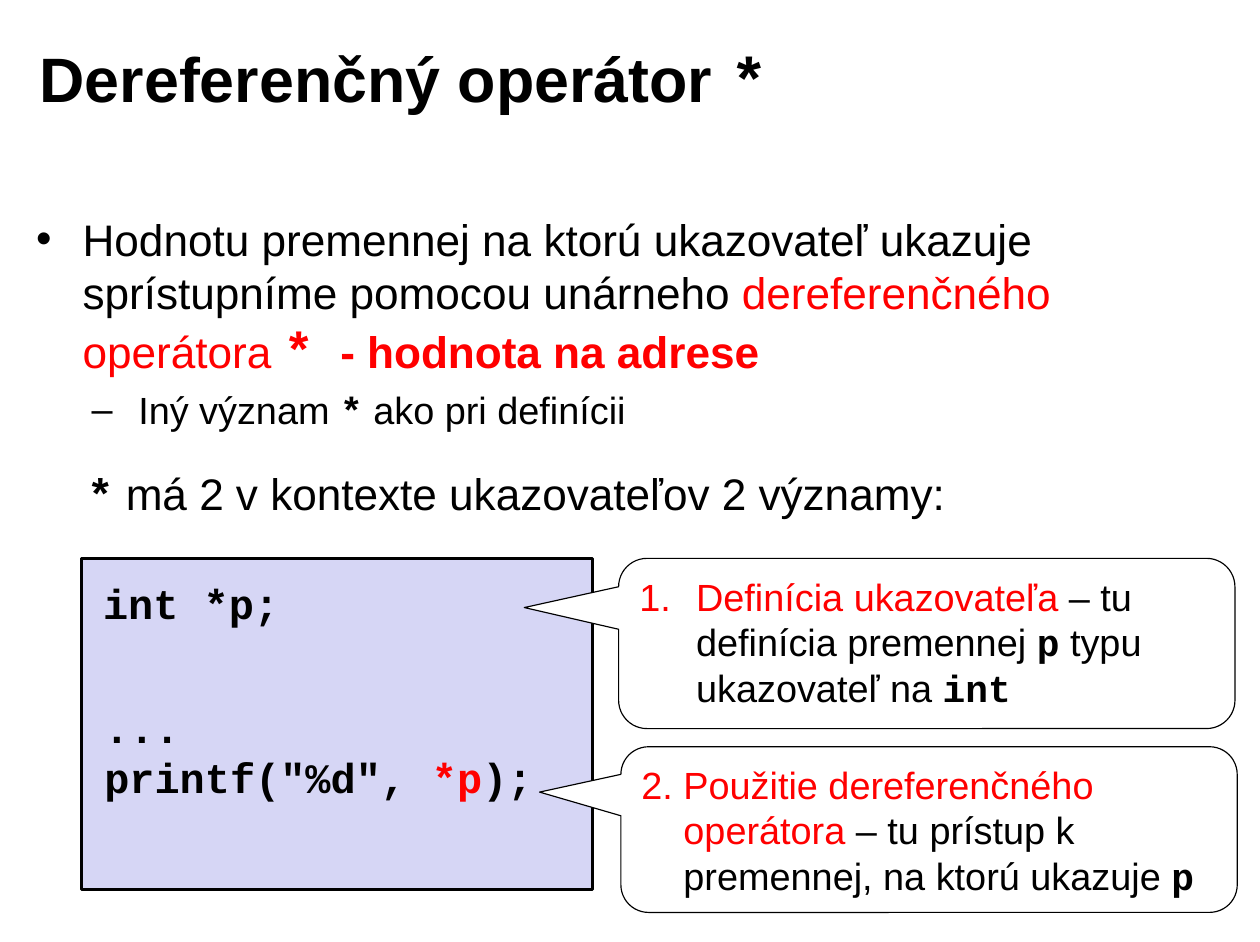
"""Build the slide on the dereference operator."""
from lxml import etree
from pptx import Presentation, util as u
from pptx.dml.color import RGBColor
from pptx.enum import shapes, text
from pptx.oxml.ns import qn

COLS, ROWS, CELL = 111, 83, u.Inches(0.1)
BLACK, RED, WHITE, LILAC = "000000", "FF0000", "FFFFFF", "D6D6F5"
SANS, MONO = "Arial", "Courier New"
CODE = dict(face=MONO, bold=True)
HOT = dict(color=RED)

TITLE = [dict(runs=[("Dereferenčný operátor ", dict(bold=True)), ("*", CODE)])]
BODY = [
    dict(bullet="•", hang=4.1, runs=[
        ("Hodnotu premennej na ktorú ukazovateľ ukazuje sprístupníme pomocou unárneho ", {}),
        ("dereferenčného operátora ", HOT),
        ("*", dict(CODE, color=RED, size=32)),
        (" ", dict(CODE, color=RED)),
        ("- hodnota na adrese", dict(color=RED, bold=True))]),
    dict(bullet="–", level=1, left=9, hang=4.1, before=5, size=24, runs=[
        ("Iný význam ", {}), ("*", CODE), (" ako pri definícii", {})]),
]
SENSE = [dict(runs=[("*", CODE), (" má 2 v kontexte ukazovateľov 2 významy:", {})])]
DECLARE = [dict(runs=[("int *p;", CODE)])]
PRINT = [
    dict(runs=[("...", CODE)]),
    dict(runs=[('printf("%d", ', CODE), ("*p", dict(CODE, color=RED)), (");", CODE)]),
]
NOTES = [
    dict(at=(54.5, 49.2, 54.3, 15), tip=(-0.653, -0.211), paras=[
        dict(bullet=1, hang=5, runs=[
            ("Definícia ukazovateľa", HOT), (" – tu definícia premennej ", {}),
            ("p", CODE), (" typu ukazovateľ na ", {}), ("int", CODE)])]),
    dict(at=(54.7, 65.8, 54.3, 14.6), tip=(-0.632, -0.226), paras=[
        dict(hang=3.7, runs=[
            ("2. Použitie dereferenčného operátora ", HOT),
            ("– tu prístup k premennej, na ktorú ukazuje ", {}), ("p", CODE)])]),
]
BOXES = [
    (TITLE, (2.5, 1.7, 89.1, 10.2), dict(size=39.8, anchor="MIDDLE")),
    (BODY, (2.2, 18.2, 106.6, 19), dict(size=28)),
    (SENSE, (6.2, 40.6, 78.5, 5.7), dict(size=28, align="CENTER", wrap=False)),
    (DECLARE, (8.1, 50.4, 24.4, 5.5), dict(size=26.6)),
    (PRINT, (8.2, 61.3, 44.8, 9.9), dict(size=26.6)),
]
PANEL = (7.2, 49.2, 45, 29.2)


def cells(box):
    return [round(n * CELL) for n in box]


def rgb(code):
    return RGBColor.from_string(code)


def mark(para, left, hang, bullet):
    props = para._p.get_or_add_pPr()
    props.set("marL", str(round(left * CELL)))
    props.set("indent", str(-round(hang * CELL)))
    if isinstance(bullet, int):
        tint = etree.SubElement(props, qn("a:buClr"))
        etree.SubElement(tint, qn("a:srgbClr"), val=RED)
        etree.SubElement(props, qn("a:buFont"), typeface=SANS)
        etree.SubElement(props, qn("a:buAutoNum"), type="arabicPeriod", startAt=str(bullet))
    elif bullet:
        etree.SubElement(props, qn("a:buFont"), typeface=SANS)
        etree.SubElement(props, qn("a:buChar"), char=bullet)


def write(frame, paras, size=24, align="LEFT", anchor="TOP", wrap=True, pad=(1, 0.5)):
    frame.word_wrap = wrap
    if not wrap:
        frame.auto_size = text.MSO_AUTO_SIZE.SHAPE_TO_FIT_TEXT
    frame.vertical_anchor = text.MSO_ANCHOR[anchor]
    frame.margin_left = frame.margin_right = round(pad[0] * CELL)
    frame.margin_top = frame.margin_bottom = round(pad[1] * CELL)
    for i, item in enumerate(paras):
        para = frame.add_paragraph() if i else frame.paragraphs[0]
        para.level = item.get("level", 0)
        para.alignment = text.PP_ALIGN[align]
        para.space_before = u.Pt(item.get("before", 0))
        hang = item.get("hang", 0)
        mark(para, item.get("left", hang), hang, item.get("bullet"))
        for words, look in item["runs"]:
            run = para.add_run()
            run.text = words
            font = run.font
            font.name = look.get("face", SANS)
            font.size = u.Pt(look.get("size", item.get("size", size)))
            font.bold = look.get("bold", False)
            font.color.rgb = rgb(look.get("color", BLACK))


def draw(slide, kind, box, fill, width):
    shape = slide.shapes.add_shape(shapes.MSO_SHAPE[kind], *cells(box))
    shape.shadow.inherit = False
    shape.fill.solid()
    shape.fill.fore_color.rgb = rgb(fill)
    shape.line.color.rgb = rgb(BLACK)
    shape.line.width = u.Pt(width)
    return shape


def main():
    deck = Presentation()
    deck.slide_width, deck.slide_height = COLS * CELL, ROWS * CELL
    slide = deck.slides.add_slide(deck.slide_layouts[6])
    draw(slide, "RECTANGLE", PANEL, LILAC, 2)
    for paras, box, look in BOXES:
        write(slide.shapes.add_textbox(*cells(box)).text_frame, paras, **look)
    for note in NOTES:
        shape = draw(slide, "ROUNDED_RECTANGULAR_CALLOUT", note["at"], WHITE, 0.75)
        for i, share in enumerate(note["tip"]):
            shape.adjustments[i] = share
        write(shape.text_frame, note["paras"], pad=(1.1, 0.6))
    deck.save("out.pptx")


if __name__ == "__main__":
    main()
